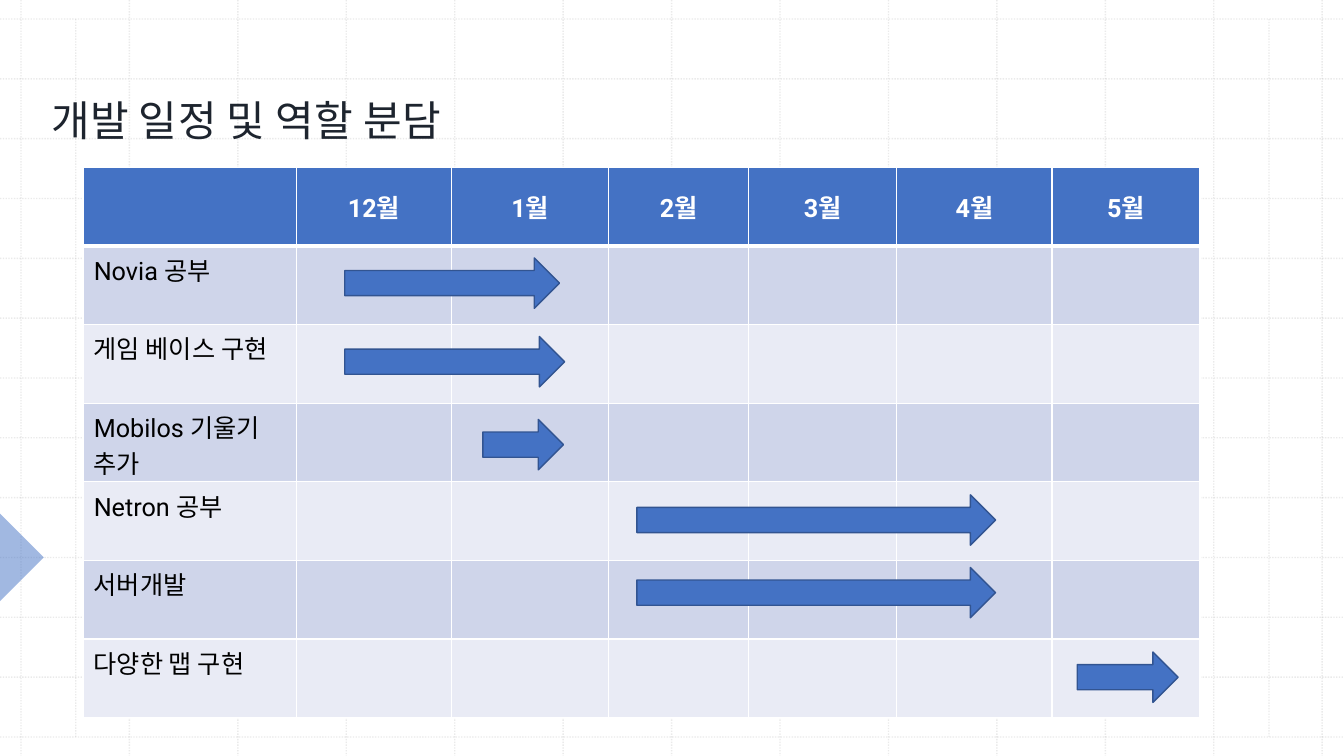
"""Builds the development schedule slide: a month table with task arrows over a dotted grid."""
from lxml import etree
from pptx import Presentation
from pptx.dml.color import RGBColor
from pptx.enum.dml import MSO_LINE
from pptx.enum.shapes import MSO_CONNECTOR, MSO_SHAPE
from pptx.enum.text import MSO_ANCHOR, PP_ALIGN
from pptx.oxml.ns import qn
from pptx.util import Cm, Pt

STRAIGHT = MSO_CONNECTOR.STRAIGHT
DOTTED = MSO_LINE.ROUND_DOT
TRIANGLE, ARROW = MSO_SHAPE.RIGHT_TRIANGLE, MSO_SHAPE.RIGHT_ARROW
MIDDLE, TOP = MSO_ANCHOR.MIDDLE, MSO_ANCHOR.TOP
CENTER, LEFT = PP_ALIGN.CENTER, PP_ALIGN.LEFT

WHITE = RGBColor(0xFF, 0xFF, 0xFF)
BLACK = RGBColor(0x00, 0x00, 0x00)
INK = RGBColor(0x1D, 0x24, 0x2E)
GRID = RGBColor(0xBC, 0xBC, 0xBC)
BLUE = RGBColor(0x44, 0x72, 0xC4)
DARK_BLUE = RGBColor(0x32, 0x54, 0x91)
BANDS = (RGBColor(0xE9, 0xEB, 0xF5), RGBColor(0xCF, 0xD5, 0xEA))

TITLE = "개발 일정 및 역할 분담"
MONTHS = ["12월", "1월", "2월", "3월", "4월", "5월"]
TASKS = [
    ("Novia 공부", (8.69, 6.5, 5.41)),
    ("게임 베이스 구현", (8.69, 8.48, 5.54)),
    ("Mobilos 기울기 추가", (12.17, 10.57, 2.03)),
    ("Netron 공부", (16.05, 12.47, 9.04)),
    ("서버개발", (16.05, 14.3, 9.04)),
    ("다양한 맵 구현", (27.15, 16.43, 2.54)),
]
COLUMN_WIDTHS = [5.36, 3.91, 3.96, 3.53, 3.73, 3.91, 3.73]
ROW_HEIGHT = 1.98
ARROW_HEIGHT = 1.27
PAGE_WIDTH, PAGE_HEIGHT = 33.87, 19.05
GRID_STEPS = 12
GRID_LEFT, GRID_RIGHT, GRID_TOP, GRID_BOTTOM = 0.53, 33.32, 0.48, 18.57
MARGIN_LINES = (1.91, 31.98)

HEADER_FONT = {"name": "Roboto", "size": Pt(18), "bold": True}
BODY_FONT = {"name": "Roboto", "size": Pt(18), "bold": False}
TITLE_FONT = {"name": "Roboto", "size": Pt(30)}
TITLE_FRAME = {
    "word_wrap": True, "vertical_anchor": MIDDLE,
    "margin_left": Cm(0.3), "margin_top": Cm(0.3),
    "margin_right": Cm(0.3), "margin_bottom": Cm(0.25),
}


def apply(target, values):
    for name, value in values.items():
        setattr(target, name, value)


def write(para, text, font, color):
    span = para.add_run()
    span.text = text
    apply(span.font, font)
    span.font.color.rgb = color
    return span


def set_alpha(element, percent):
    color = next(element.iter(qn("a:srgbClr")))
    etree.SubElement(color, qn("a:alpha"), val=str(percent * 1000))


def add_grid_line(page, *ends):
    line = page.shapes.add_connector(STRAIGHT, *map(Cm, ends))
    line.line.color.rgb = GRID
    line.line.width = Pt(1)
    line.line.dash_style = DOTTED
    properties = line.element.spPr
    set_alpha(properties, 30)
    etree.SubElement(properties, qn("a:effectLst"))


def add_grid(page):
    for step in range(GRID_STEPS + 1):
        share = step / GRID_STEPS
        x = GRID_LEFT + share * (GRID_RIGHT - GRID_LEFT)
        y = GRID_TOP + share * (GRID_BOTTOM - GRID_TOP)
        add_grid_line(page, x, 0, x, PAGE_HEIGHT)
        add_grid_line(page, 0, y, PAGE_WIDTH, y)
    for x in MARGIN_LINES:
        add_grid_line(page, x, GRID_TOP, x, GRID_BOTTOM)


def add_filled(page, kind, left, top, width, height):
    shape = page.shapes.add_shape(kind, Cm(left), Cm(top), Cm(width), Cm(height))
    shape.shadow.inherit = False
    shape.fill.solid()
    shape.fill.fore_color.rgb = BLUE
    return shape


def add_title(page):
    box = page.shapes.add_textbox(Cm(0.99), Cm(-0.89), Cm(12.9), Cm(7.59))
    apply(box.text_frame, TITLE_FRAME)
    para = box.text_frame.paragraphs[0]
    apply(para, {"line_spacing": 1.14, "space_before": Pt(10)})
    span = write(para, TITLE, TITLE_FONT, INK)
    span.font._element.set("spc", "30")


def set_borders(cell, widths):
    properties = cell._tc.get_or_add_tcPr()
    for position, (side, width) in enumerate(widths.items()):
        border = etree.Element(qn("a:ln" + side), w=str(Pt(width)))
        fill = etree.SubElement(border, qn("a:solidFill"))
        etree.SubElement(fill, qn("a:srgbClr"), val=str(WHITE))
        properties.insert(position, border)


def add_schedule(page):
    rows = [["", *MONTHS]] + [[task] + [""] * len(MONTHS) for task, _ in TASKS]
    frame = page.shapes.add_table(
        len(rows), len(COLUMN_WIDTHS), Cm(2.11), Cm(4.22),
        Cm(sum(COLUMN_WIDTHS)), Cm(ROW_HEIGHT * len(rows)))
    table = frame.table
    for column, width in zip(table.columns, COLUMN_WIDTHS):
        column.width = Cm(width)
    for r, texts in enumerate(rows):
        table.rows[r].height = Cm(ROW_HEIGHT)
        header = r == 0
        for c, text in enumerate(texts):
            cell = table.cell(r, c)
            cell.fill.solid()
            cell.fill.fore_color.rgb = BLUE if header else BANDS[r % 2]
            cell.vertical_anchor = MIDDLE if header else TOP
            set_borders(cell, {"L": 1, "R": 1, "T": 3 if r == 1 else 1, "B": 3 if header else 1})
            para = cell.text_frame.paragraphs[0]
            para.alignment = CENTER if header else LEFT
            if text:
                write(para, text, HEADER_FONT if header else BODY_FONT, WHITE if header else BLACK)


def add_arrows(page):
    for _, (left, top, width) in TASKS:
        arrow = add_filled(page, ARROW, left, top, width, ARROW_HEIGHT)
        arrow.line.color.rgb = DARK_BLUE
        arrow.line.width = Pt(1)


def main():
    deck = Presentation()
    deck.slide_width, deck.slide_height = Cm(PAGE_WIDTH), Cm(PAGE_HEIGHT)
    page = deck.slides.add_slide(deck.slide_layouts[6])
    add_grid(page)
    marker = add_filled(page, TRIANGLE, -0.79, 13.26, 1.57, 1.57)
    marker.rotation = 225
    marker.line.fill.background()
    set_alpha(marker.element.spPr, 50)
    add_title(page)
    add_schedule(page)
    add_arrows(page)
    deck.save("out.pptx")


main()
